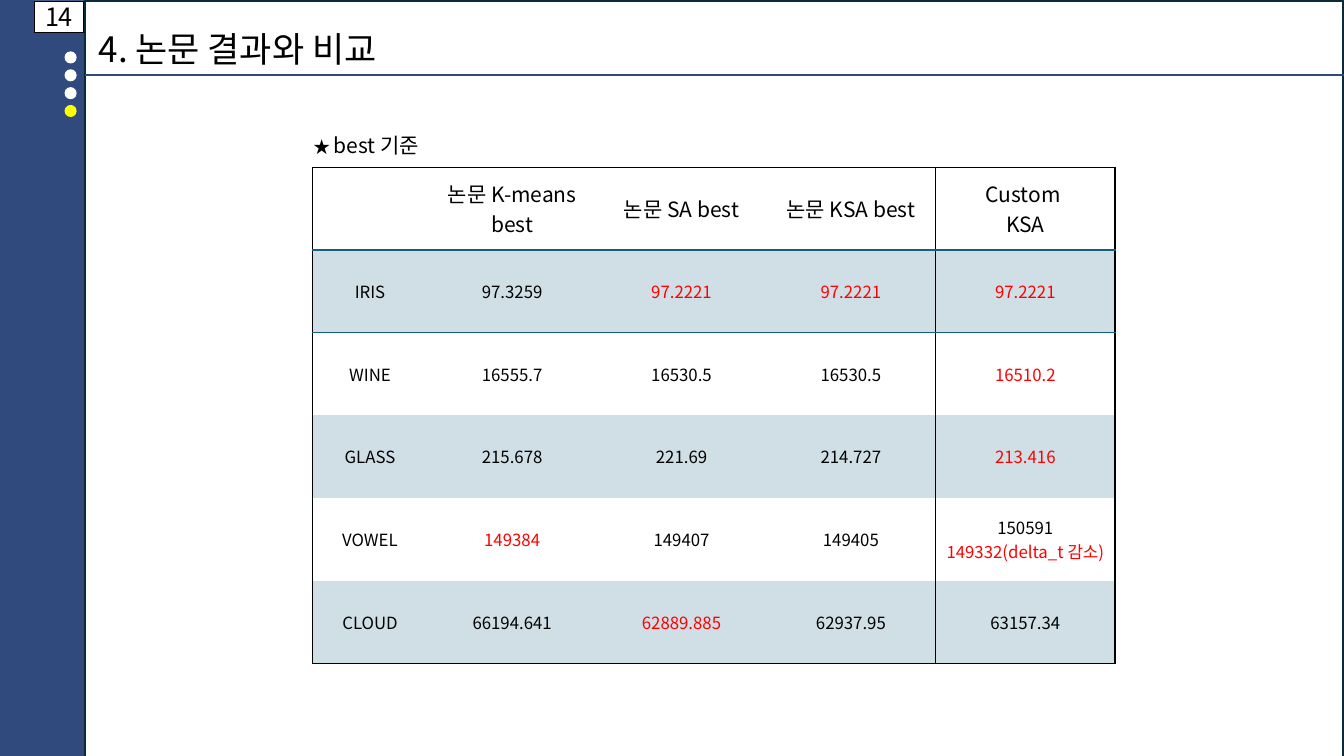
from lxml import etree
from pptx import Presentation
from pptx import util as u
from pptx.dml import color
from pptx.enum import shapes, text
from pptx.oxml import ns

HUES = {
    "navy": "304A7D", "edge": "092A39", "teal": "156082", "band": "D0DFE6",
    "white": "FFFFFF", "black": "000000", "red": "FF0000", "yellow": "FFFF00",
}
FONT = "Noto Sans CJK KR"
PLAIN = "{2D5ABB26-0587-4C30-8999-92F81FD0307C}"
WIDTHS = [1.14, 1.68, 1.68, 1.68, 1.78]
HEAD = ["", "논문 K-means best", "논문 SA best", "논문 KSA best", "Custom \nKSA"]
BODY = [
    ["IRIS", "97.3259", "*97.2221", "*97.2221", "*97.2221"],
    ["WINE", "16555.7", "16530.5", "16530.5", "*16510.2"],
    ["GLASS", "215.678", "221.69", "214.727", "*213.416"],
    ["VOWEL", "*149384", "149407", "149405", ["150591", "*149332(delta_t 감소)"]],
    ["CLOUD", "66194.641", "*62889.885", "62937.95", "63157.34"],
]


def rgb(hue):
    """Return the named colour."""
    return color.RGBColor.from_string(HUES[hue])


def write(par, words, size=12, hue="black", align=text.PP_ALIGN.LEFT):
    """Add words to a paragraph; a leading * means red, a newline a break."""
    par.alignment = align
    if words.startswith("*"):
        words, hue = words[1:], "red"
    for k, part in enumerate(words.split("\n")):
        if k:
            par.add_line_break()
        run = par.add_run()
        run.text = part
        font = run.font
        font.name, font.size, font.color.rgb = FONT, u.Pt(size), rgb(hue)
        for tag in ("a:ea", "a:cs"):
            etree.SubElement(font._element, ns.qn(tag), typeface=FONT)


class Deck:
    """Holds the presentation, its current slide and the drawing methods."""

    def __init__(self):
        """Open one title-only slide on a navy ground."""
        self.prs = Presentation()
        self.prs.slide_width, self.prs.slide_height = u.Inches(13.33), u.Inches(7.5)
        self.slide = self.prs.slides.add_slide(self.prs.slide_layouts[5])
        self.items = self.slide.shapes
        fill = self.slide.background.fill
        fill.solid()
        fill.fore_color.rgb = rgb("navy")

    def shape(self, kind, box, fill, line=None, width=1):
        """Draw a filled preset shape."""
        item = self.items.add_shape(kind, *map(u.Inches, box))
        item.shadow.inherit = False
        item.fill.solid()
        item.fill.fore_color.rgb = rgb(fill)
        if line:
            item.line.color.rgb, item.line.width = rgb(line), u.Pt(width)
        else:
            item.line.fill.background()
        return item

    def rule(self, start, end):
        """Draw a navy line."""
        item = self.items.add_connector(
            shapes.MSO_CONNECTOR.STRAIGHT, *map(u.Inches, start + end))
        item.line.color.rgb, item.line.width = rgb("navy"), u.Pt(1.5)
        etree.SubElement(item._element.spPr, ns.qn("a:effectLst"))

    def title(self, box, words):
        """Place the title placeholder above the panel."""
        item = self.items.title
        item.left, item.top, item.width, item.height = map(u.Inches, box)
        frame = item.text_frame
        frame.auto_size = text.MSO_AUTO_SIZE.NONE
        frame.vertical_anchor = text.MSO_ANCHOR.TOP
        write(frame.paragraphs[0], words, size=25)
        self.items._spTree.append(item._element)

    def label(self, box, runs):
        """Add a text box of (words, size) runs."""
        frame = self.items.add_textbox(*map(u.Inches, box)).text_frame
        frame.word_wrap = True
        for words, size in runs:
            write(frame.paragraphs[0], words, size=size)

    def border(self, cell, **sides):
        """Rule the given cell sides in the given colours."""
        props = cell._tc.get_or_add_tcPr()
        for side in "LRTB":
            if side in sides:
                line = etree.SubElement(props, ns.qn("a:ln" + side), w=str(u.Pt(1)))
                fill = etree.SubElement(line, ns.qn("a:solidFill"))
                etree.SubElement(fill, ns.qn("a:srgbClr"), val=HUES[sides[side]])

    def table(self, left, top, widths, rows, high):
        """Draw the framed table with banded body rows."""
        last, end = len(rows) - 1, len(widths) - 1
        item = self.items.add_table(
            len(rows), len(widths), u.Inches(left), u.Inches(top),
            u.Inches(sum(widths)), u.Inches(high * len(rows)))
        grid = item.table
        grid.first_row = grid.horz_banding = False
        grid._tbl.tblPr.find(ns.qn("a:tableStyleId")).text = PLAIN
        for col, width in zip(grid.columns, widths):
            col.width = u.Inches(width)
        for r, row in enumerate(rows):
            grid.rows[r].height = u.Inches(high)
            for c, words in enumerate(row):
                cell = grid.cell(r, c)
                cell.vertical_anchor = text.MSO_ANCHOR.MIDDLE
                sides = {}
                if c in (0, end):
                    sides["L"] = "black"
                if c >= end - 1:
                    sides["R"] = "black"
                if r == 0:
                    sides.update(T="black", B="teal")
                elif r == 1:
                    sides["T"] = "teal"
                elif r == last:
                    sides["B"] = "black"
                self.border(cell, **sides)
                if r % 2:
                    cell.fill.solid()
                    cell.fill.fore_color.rgb = rgb("band")
                else:
                    cell.fill.background()
                frame = cell.text_frame
                for k, line in enumerate([words] if isinstance(words, str) else words):
                    par = frame.add_paragraph() if k else frame.paragraphs[0]
                    write(par, line, size=12 if r else 15, align=text.PP_ALIGN.CENTER)


def main():
    """Build and save the slide."""
    deck = Deck()
    kind = shapes.MSO_SHAPE
    deck.shape(kind.RECTANGLE, (0.84, 0.01, 12.48, 7.5), "white", "edge", 1.5)
    deck.rule((0.84, 0.74), (13.33, 0.74))
    deck.title((0.88, 0.22, 8.24, 0.52), "4. 논문 결과와 비교")
    page = deck.shape(kind.RECTANGLE, (0.34, 0.01, 0.49, 0.31), "white", "black", 0.25)
    page.text_frame.vertical_anchor = text.MSO_ANCHOR.MIDDLE
    write(page.text_frame.paragraphs[0], "14", size=18, align=text.PP_ALIGN.CENTER)
    deck.table(3.1, 1.66, WIDTHS, [HEAD] + BODY, 0.82)
    deck.label((3.01, 1.27, 5.21, 0.35), [("★ ", 12), ("best 기준", 15)])
    for k, hue in enumerate(["white"] * 3 + ["yellow"]):
        deck.shape(kind.FLOWCHART_CONNECTOR, (0.64, 0.51 + k * 0.177, 0.12, 0.12), hue)
    deck.prs.save("out.pptx")


if __name__ == "__main__":
    main()
